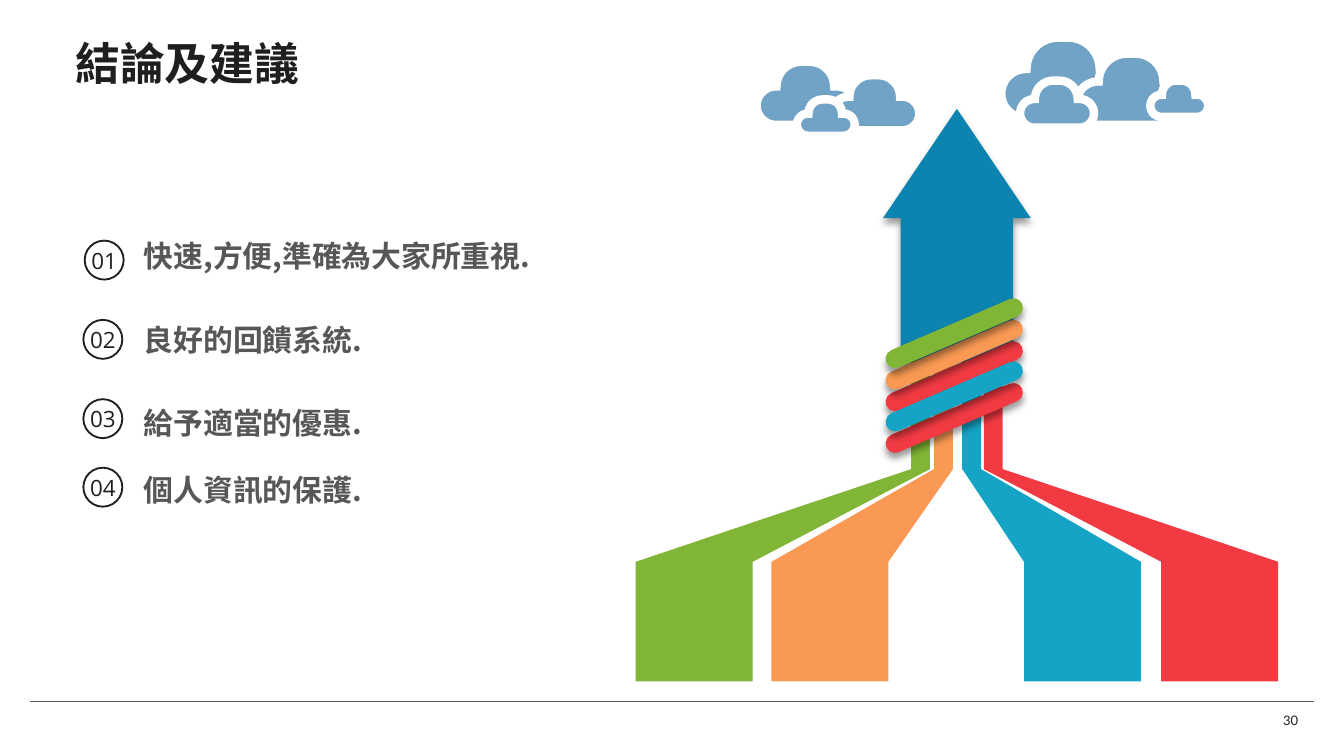
from dataclasses import dataclass
from math import cos, radians, sin

from lxml.etree import SubElement
from pptx import Presentation
from pptx.dml.color import RGBColor
from pptx.enum.shapes import MSO_CONNECTOR, MSO_SHAPE
from pptx.enum.text import MSO_ANCHOR, MSO_AUTO_SIZE, PP_ALIGN
from pptx.oxml.ns import qn
from pptx.util import Inches, Pt


@dataclass(frozen=True)
class Theme:
    ink: str = "1F1F1F"
    gray: str = "575757"
    white: str = "FFFFFF"
    green: str = "81B535"
    orange: str = "F99953"
    blue: str = "15A4C6"
    red: str = "F23A43"
    arrow: str = "0D84AF"
    cloud: str = "71A3C6"
    title_size: float = 24
    item_size: float = 16
    number_size: float = 12
    page_size: float = 7


def write(shape, text, size, color, font, bold=False, align=PP_ALIGN.LEFT,
          anchor=MSO_ANCHOR.TOP, inset=(0.04, 0.02), line_spacing=None, space_after=None):
    frame = shape.text_frame
    frame.word_wrap = True
    frame.auto_size = MSO_AUTO_SIZE.NONE
    frame.vertical_anchor = anchor
    frame.margin_left = frame.margin_right = Inches(inset[0])
    frame.margin_top = frame.margin_bottom = Inches(inset[1])
    para = frame.paragraphs[0]
    para.alignment = align
    para.line_spacing = line_spacing
    para.space_after = space_after
    span = para.add_run()
    span.text = text
    span.font.size = Pt(size)
    span.font.bold = bold
    span.font.name = font
    span.font.color.rgb = RGBColor.from_string(color)
    SubElement(span.font._element, qn("a:ea"), typeface=font)


def paint(shape, color, shadow=False):
    shape.fill.solid()
    shape.fill.fore_color.rgb = RGBColor.from_string(color)
    shape.line.fill.background()
    shape.shadow.inherit = False
    if shadow:
        effects = shape._element.spPr.find(qn("a:effectLst"))
        outer = SubElement(effects, qn("a:outerShdw"), blurRad=str(Pt(4)), dist=str(Pt(3)),
                           dir="5400000", algn="t", rotWithShape="0")
        black = SubElement(outer, qn("a:srgbClr"), val="000000")
        SubElement(black, qn("a:alpha"), val="40000")


theme = Theme()
deck = Presentation()
deck.slide_width = Inches(10)
deck.slide_height = Inches(10) * 9 // 16
page = deck.slides.add_slide(deck.slide_layouts[5])
shapes = page.shapes

rule = shapes.add_connector(MSO_CONNECTOR.STRAIGHT, Inches(0.22), Inches(5.22),
                            Inches(9.78), Inches(5.22))
rule.line.color.rgb = RGBColor.from_string(theme.gray)
rule.line.width = Pt(0.5)
SubElement(rule._element.spPr, qn("a:effectLst"))

title = shapes.title
title.left, title.top, title.width, title.height = map(Inches, (0.52, 0.27, 6.69, 0.42))
write(title, "結論及建議", theme.title_size, theme.ink, "Noto Sans CJK JP", bold=True,
      anchor=MSO_ANCHOR.BOTTOM, line_spacing=0.9)

items = [
    ("快速,方便,準確為大家所重視.", 0.63, 1.79, 1.75),
    ("良好的回饋系統.", 0.62, 2.38, 2.37),
    ("給予適當的優惠.", 0.62, 2.97, 2.99),
    ("個人資訊的保護.", 0.62, 3.48, 3.49),
]
for number, (text, circle_left, circle_top, text_top) in enumerate(items, 1):
    circle = shapes.add_shape(MSO_SHAPE.OVAL, Inches(circle_left), Inches(circle_top),
                              Inches(0.29), Inches(0.29))
    circle.shadow.inherit = False
    circle.fill.background()
    circle.line.color.rgb = RGBColor.from_string(theme.ink)
    circle.line.width = Pt(1)
    write(circle, f"{number:02}", theme.number_size, theme.ink, "Open Sans",
          align=PP_ALIGN.CENTER, anchor=MSO_ANCHOR.MIDDLE, inset=(0, 0))
    box = shapes.add_textbox(Inches(1.03), Inches(text_top), Inches(5.21), Inches(0.31))
    write(box, text, theme.item_size, theme.gray, "Noto Sans CJK SC", bold=True,
          align=PP_ALIGN.JUSTIFY, space_after=Pt(4.5))

strips = [
    (theme.green, 4.73, 6.78),
    (theme.orange, 5.74, 6.95),
    (theme.blue, 7.62, 7.16),
    (theme.red, 8.64, 7.32),
]
foot_top, foot_width, neck_bottom, neck_width, strip_height = 4.18, 0.87, 3.49, 0.14, 0.89
for color, foot_left, neck_left in strips:
    foot = shapes.add_shape(MSO_SHAPE.RECTANGLE, Inches(foot_left), Inches(foot_top),
                            Inches(foot_width), Inches(strip_height))
    corners = [
        (neck_left, neck_bottom),
        (neck_left + neck_width, neck_bottom),
        (foot_left + foot_width, foot_top),
        (foot_left, foot_top),
    ]
    points = [(Inches(x), Inches(y)) for x, y in corners]
    builder = shapes.build_freeform(*points[0])
    builder.add_line_segments(points[1:], close=True)
    slope = builder.convert_to_shape()
    neck = shapes.add_shape(MSO_SHAPE.RECTANGLE, Inches(neck_left),
                            Inches(neck_bottom - strip_height),
                            Inches(neck_width), Inches(strip_height))
    for part in (foot, slope, neck):
        paint(part, color)

arrow = shapes.add_shape(MSO_SHAPE.UP_ARROW, Inches(6.57), Inches(0.81),
                         Inches(1.1), Inches(1.87))
arrow.adjustments[0] = 0.76
arrow.adjustments[1] = 0.74
paint(arrow, theme.arrow, shadow=True)

bands = [(theme.red, 3.04), (theme.red, 2.73), (theme.blue, 2.88),
         (theme.orange, 2.57), (theme.green, 2.41)]
for color, top in bands:
    band = shapes.add_shape(MSO_SHAPE.ROUNDED_RECTANGLE, Inches(6.55), Inches(top),
                            Inches(1.1), Inches(0.14))
    band.adjustments[0] = 0.5
    band.rotation = 336.7
    paint(band, color, shadow=True)

clouds = [
    (5.63, 0.46, 0.74, 0.47),
    (6.19, 0.56, 0.65, 0.41),
    (5.93, 0.74, 0.43, 0.27),
    (7.45, 0.28, 0.94, 0.6),
    (8.01, 0.4, 0.83, 0.53),
    (7.59, 0.6, 0.55, 0.35),
    (8.56, 0.6, 0.43, 0.27),
]
for left, top, width, height in clouds:
    base, bump = 0.305 * height, 0.39 * height
    arcs = [
        (0.2 * width + bump, bump, bump, 180, 270),
        (0.78 * width - bump, bump, bump, 270, 360),
        (width - base, height - base, base, 270, 450),
        (base, height - base, base, 90, 270),
    ]
    points = [
        (Inches(left + x + radius * cos(radians(angle))),
         Inches(top + y + radius * sin(radians(angle))))
        for x, y, radius, start, end in arcs
        for angle in range(start, end + 1, 10)
    ]
    builder = shapes.build_freeform(*points[0])
    builder.add_line_segments(points[1:], close=True)
    cloud = builder.convert_to_shape()
    paint(cloud, theme.cloud)
    cloud.line.color.rgb = RGBColor.from_string(theme.white)
    cloud.line.width = Pt(4.5)
    SubElement(cloud._element.spPr.find(qn("a:ln")), qn("a:miter"), lim="800000")

page_number = shapes.add_textbox(Inches(7.45), Inches(5.21), Inches(2.25), Inches(0.3))
write(page_number, "30", theme.page_size, theme.ink, "Lato",
      align=PP_ALIGN.RIGHT, anchor=MSO_ANCHOR.MIDDLE)

deck.save("out.pptx")
